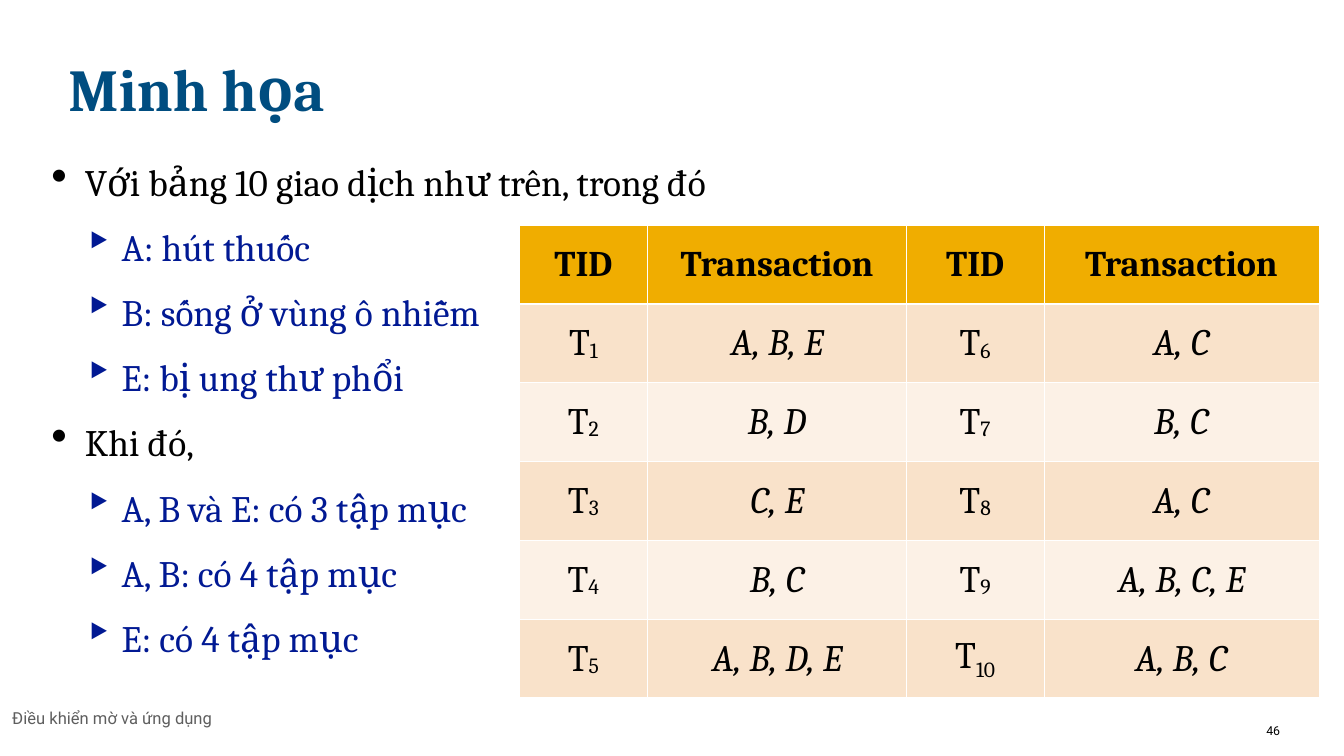
from collections import namedtuple

from lxml.etree import SubElement
from pptx import Presentation
from pptx.dml.color import RGBColor
from pptx.enum.text import MSO_ANCHOR, PP_ALIGN
from pptx.oxml.ns import qn
from pptx.util import Inches, Pt

WIDTH, HEIGHT = Inches(21.99), Inches(12.37)
COLUMN, ROW = WIDTH / 100, HEIGHT / 100  # a grid of 100 columns by 100 rows
COLORS = {
    "title": "004D80", "text": "000000", "detail": "011993", "footer": "5E5E5E",
    "header": "F0AD00", "odd": "F9E2CA", "even": "FCF1E6", "border": "FFFFFF",
}
Box = namedtuple("Box", "left top width height")

POINTS = [
    (0, "Với bảng 10 giao dịch như trên, trong đó"),
    (1, "A: hút thuốc"),
    (1, "B: sống ở vùng ô nhiễm"),
    (1, "E: bị ung thư phổi"),
    (0, "Khi đó,"),
    (1, "A, B và E: có 3 tập mục"),
    (1, "A, B: có 4 tập mục"),
    (1, "E: có 4 tập mục"),
]
TRANSACTIONS = ["A, B, E", "B, D", "C, E", "B, C", "A, B, D, E",
                "A, C", "B, C", "A, C", "A, B, C, E", "A, B, C"]
COLUMN_WEIGHTS = [2.11, 4.23, 2.25, 4.5]


def place(box):
    """Turn a box in grid units into slide lengths."""
    return (round(box.left * COLUMN), round(box.top * ROW),
            round(box.width * COLUMN), round(box.height * ROW))


def add_text(paragraph, text, size=44, color="text", font="Cambria",
             bold=False, italic=False, baseline=0):
    run = paragraph.add_run()
    run.text = text
    run.font.size = Pt(size)
    run.font.name = font
    run.font.bold = bold
    run.font.italic = italic
    run.font.color.rgb = RGBColor.from_string(COLORS[color])
    if baseline:
        run.font._element.set("baseline", str(baseline * 1000))


def add_frame(slide, box, top_inset=0.01):
    frame = slide.shapes.add_textbox(*place(box)).text_frame
    frame.word_wrap = True
    frame.margin_left = frame.margin_right = frame.margin_bottom = 0
    frame.margin_top = Inches(top_inset)
    return frame


def add_line(slide, box, text, space_before, line_spacing=None, **text_format):
    paragraph = add_frame(slide, box).paragraphs[0]
    paragraph.space_before = Pt(space_before)
    if line_spacing:
        paragraph.line_spacing = Pt(line_spacing)
    add_text(paragraph, text, **text_format)


def set_bullet(paragraph, level):
    properties = paragraph._p.get_or_add_pPr()
    properties.set("marL", str(Inches((0.56, 1.16)[level])))
    properties.set("indent", str(Inches((-0.55, -0.6)[level])))
    SubElement(properties, qn("a:buSzPct"), val="124000")
    SubElement(properties, qn("a:buChar"), char="•‣"[level])


def add_points(slide, box):
    frame = add_frame(slide, box, top_inset=0.17)
    for index, (level, text) in enumerate(POINTS):
        paragraph = frame.add_paragraph() if index else frame.paragraphs[0]
        paragraph.level = level
        paragraph.space_before = Pt(24 if index else 12.5)
        set_bullet(paragraph, level)
        add_text(paragraph, text, color="detail" if level else "text")


def set_borders(cell, widths):
    """Draw the left, right, top and bottom borders, in points."""
    properties = cell._tc.get_or_add_tcPr()
    for side, width in zip("LRTB", widths):
        line = SubElement(properties, qn(f"a:ln{side}"), w=str(Pt(width)))
        fill = SubElement(line, qn("a:solidFill"))
        SubElement(fill, qn("a:srgbClr"), val=COLORS["border"])


def format_cell(cell, row):
    """Style a cell and return its paragraph."""
    set_borders(cell, (1, 1, 3 if row == 1 else 1, 3 if row == 0 else 1))
    cell.fill.solid()
    color = "header" if row == 0 else "odd" if row % 2 else "even"
    cell.fill.fore_color.rgb = RGBColor.from_string(COLORS[color])
    cell.vertical_anchor = MSO_ANCHOR.MIDDLE
    cell.margin_left = cell.margin_right = cell.margin_bottom = 0
    cell.margin_top = Inches(0.02)
    paragraph = cell.text_frame.paragraphs[0]
    paragraph.alignment = PP_ALIGN.CENTER
    paragraph.space_before = Pt(1.6)
    return paragraph


def add_transactions(slide, box):
    """Table of numbered transactions, in two halves side by side."""
    half = len(TRANSACTIONS) // 2
    left, top, width, height = place(box)
    table = slide.shapes.add_table(half + 1, 4, left, top, width, height).table
    for column, weight in zip(table.columns, COLUMN_WEIGHTS):
        column.width = round(width * weight / sum(COLUMN_WEIGHTS))
    for index, heading in enumerate(["TID", "Transaction"] * 2):
        paragraph = format_cell(table.cell(0, index), 0)
        add_text(paragraph, heading, size=42.5, bold=True)
    for index, items in enumerate(TRANSACTIONS):
        side, row = index // half * 2, index % half + 1
        number = index + 1
        paragraph = format_cell(table.cell(row, side), row)
        add_text(paragraph, "T")
        add_text(paragraph, str(number), baseline=-6 if number < 10 else -25)
        add_text(format_cell(table.cell(row, side + 1), row), items, italic=True)


def main():
    presentation = Presentation()
    presentation.slide_width, presentation.slide_height = WIDTH, HEIGHT
    slide = presentation.slides.add_slide(presentation.slide_layouts[6])
    add_line(slide, Box(0.91, 93.53, 24.83, 2.59), "Điều khiển mờ và ứng dụng",
             space_before=0.7, line_spacing=23.9, size=19.5, color="footer", font="Roboto")
    add_line(slide, Box(94.22, 95.63, 1.96, 2.02), "46",
             space_before=0.6, size=14.5, font="Roboto")
    add_line(slide, Box(5.09, 6.87, 24.42, 9.7), "Minh họa",
             space_before=1.1, size=70, color="title", bold=True)
    add_points(slide, Box(3.77, 19.64, 53.07, 68.39))
    add_transactions(slide, Box(38.61, 29.75, 59.53, 62.57))
    presentation.save("out.pptx")


if __name__ == "__main__":
    main()
